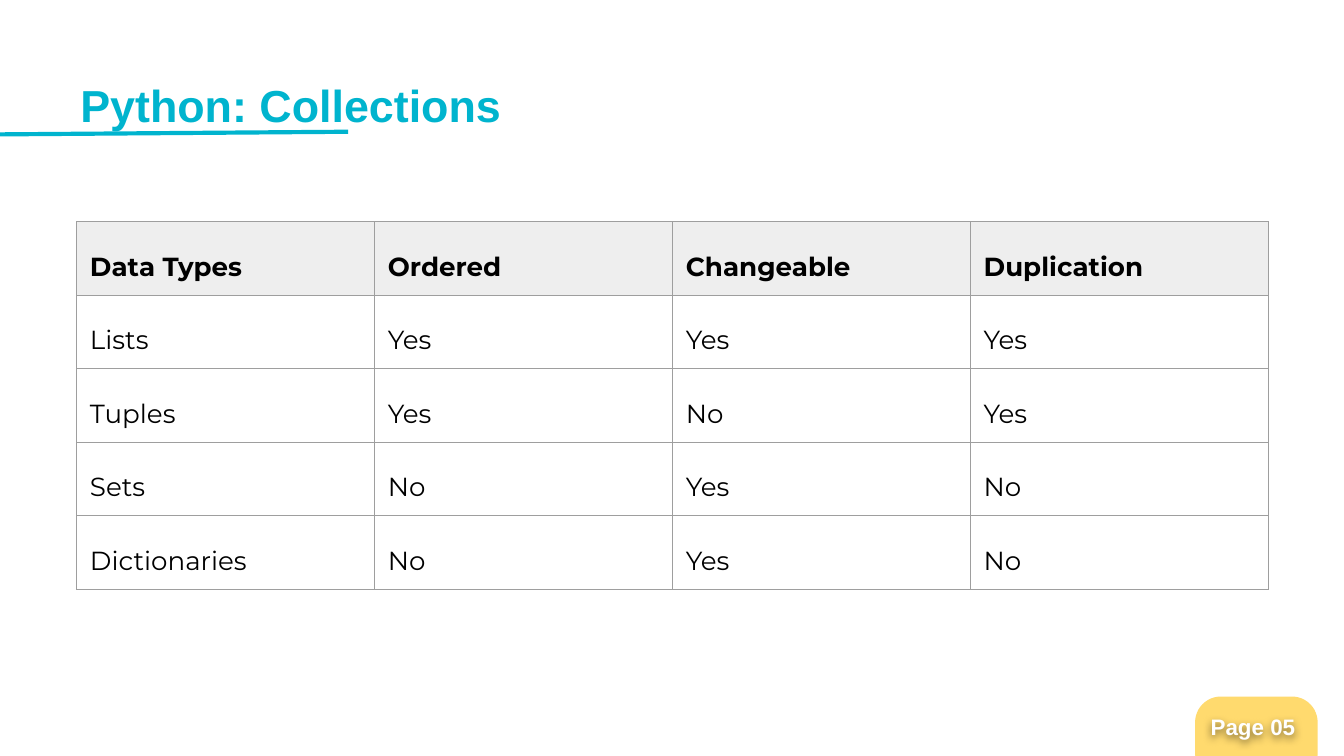
from dataclasses import dataclass

from lxml.etree import SubElement
from pptx import Presentation
from pptx.dml.color import RGBColor as RGB
from pptx.enum.shapes import MSO_CONNECTOR as Connector, MSO_SHAPE as Shape
from pptx.oxml.ns import qn
from pptx.util import Cm, Pt


@dataclass(frozen=True)
class Theme:
    accent: RGB = RGB(0x00, 0xB4, 0xCE)
    tab: RGB = RGB(0xFF, 0xDA, 0x6E)
    white: RGB = RGB(0xFF, 0xFF, 0xFF)
    text: RGB = RGB(0, 0, 0)
    header: RGB = RGB(0xEE, 0xEE, 0xEE)
    border: RGB = RGB(0x9E, 0x9E, 0x9E)
    heading_font: str = "Arial"
    table_font: str = "Montserrat"
    title_size: Pt = Pt(24)
    table_size: Pt = Pt(14)
    page_size: Pt = Pt(12)
    hairline: Pt = Pt(0.75)
    rule: Pt = Pt(2.25)


THEME = Theme()
INSET = Cm(0.25)

TITLE = "Python: Collections"
PAGE_LABEL = "Page 05"
ROWS = [
    ("Data Types", "Ordered", "Changeable", "Duplication"),
    ("Lists", "Yes", "Yes", "Yes"),
    ("Tuples", "Yes", "No", "Yes"),
    ("Sets", "No", "Yes", "No"),
    ("Dictionaries", "No", "Yes", "No"),
]


def style_font(font, name, size, color, bold):
    font.name, font.size, font.bold = name, size, bold
    font.color.rgb = color


def set_margins(holder):
    holder.margin_left = holder.margin_right = INSET
    holder.margin_top = holder.margin_bottom = INSET


def add_label(slide, text, left, top, width, height, size, color):
    box = slide.shapes.add_textbox(Cm(left), Cm(top), Cm(width), Cm(height))
    frame = box.text_frame
    frame.word_wrap = True
    set_margins(frame)
    para = frame.paragraphs[0]
    para.text = text
    style_font(para.font, THEME.heading_font, size, color, True)
    return box


def add_soft_shadow(box):
    """Cast a blurred shadow straight below the text of an unfilled box."""
    effects = SubElement(box.element.spPr, qn("a:effectLst"))
    shadow = SubElement(effects, qn("a:outerShdw"), blurRad=str(Pt(4.5)),
                        dist=str(Pt(1.5)), dir="5400000", algn="bl", rotWithShape="0")
    color = SubElement(shadow, qn("a:srgbClr"), val=str(THEME.text))
    SubElement(color, qn("a:alpha"), val="50000")


def add_page_tab(slide):
    tab = slide.shapes.add_shape(Shape.ROUND_2_SAME_RECTANGLE,
                                 Cm(22.6), Cm(13.18), Cm(2.29), Cm(1.1))
    tab.adjustments[0] = 0.43
    tab.shadow.inherit = False
    tab.fill.solid()
    tab.fill.fore_color.rgb = tab.line.color.rgb = THEME.tab
    tab.line.width = THEME.hairline
    label = add_label(slide, PAGE_LABEL, 22.63, 13.23, 2.69, 1.02,
                      THEME.page_size, THEME.white)
    add_soft_shadow(label)


def add_title_rule(slide):
    rule = slide.shapes.add_connector(Connector.STRAIGHT,
                                      Cm(0), Cm(2.54), Cm(6.58), Cm(2.49))
    rule.line.color.rgb = THEME.accent
    rule.line.width = THEME.rule
    SubElement(rule.element.spPr, qn("a:effectLst"))


def add_borders(cell):
    properties = cell._tc.get_or_add_tcPr()
    for position, side in enumerate(("lnL", "lnR", "lnT", "lnB")):
        line = SubElement(properties, qn(f"a:{side}"), w=str(THEME.hairline))
        fill = SubElement(line, qn("a:solidFill"))
        SubElement(fill, qn("a:srgbClr"), val=str(THEME.border))
        properties.insert(position, line)  # borders come before the fill


def fill_cell(cell, text, is_header):
    set_margins(cell)
    para = cell.text_frame.paragraphs[0]
    para.text = text
    para.line_spacing = 1.5
    style_font(para.font, THEME.table_font, THEME.table_size, THEME.text, is_header)
    if is_header:
        cell.fill.solid()
        cell.fill.fore_color.rgb = THEME.header
    else:
        cell.fill.background()
    add_borders(cell)


def add_collections_table(slide):
    column_width, row_height = Cm(5.63), Cm(1.19)
    row_count, column_count = len(ROWS), len(ROWS[0])
    table = slide.shapes.add_table(
        row_count, column_count, Cm(1.45), Cm(4.19),
        column_width * column_count, row_height * row_count).table
    table.first_row = table.horz_banding = False
    for column in table.columns:
        column.width = column_width
    for row_index, values in enumerate(ROWS):
        table.rows[row_index].height = row_height
        for column_index, text in enumerate(values):
            fill_cell(table.cell(row_index, column_index), text, row_index == 0)


def main():
    deck = Presentation()
    deck.slide_width, deck.slide_height = Cm(25.4), Cm(14.29)
    slide = deck.slides.add_slide(deck.slide_layouts[6])
    add_page_tab(slide)
    add_title_rule(slide)
    add_collections_table(slide)
    add_label(slide, TITLE, 1.27, 1.22, 15.72, 1.55, THEME.title_size, THEME.accent)
    deck.save("out.pptx")


if __name__ == "__main__":
    main()
